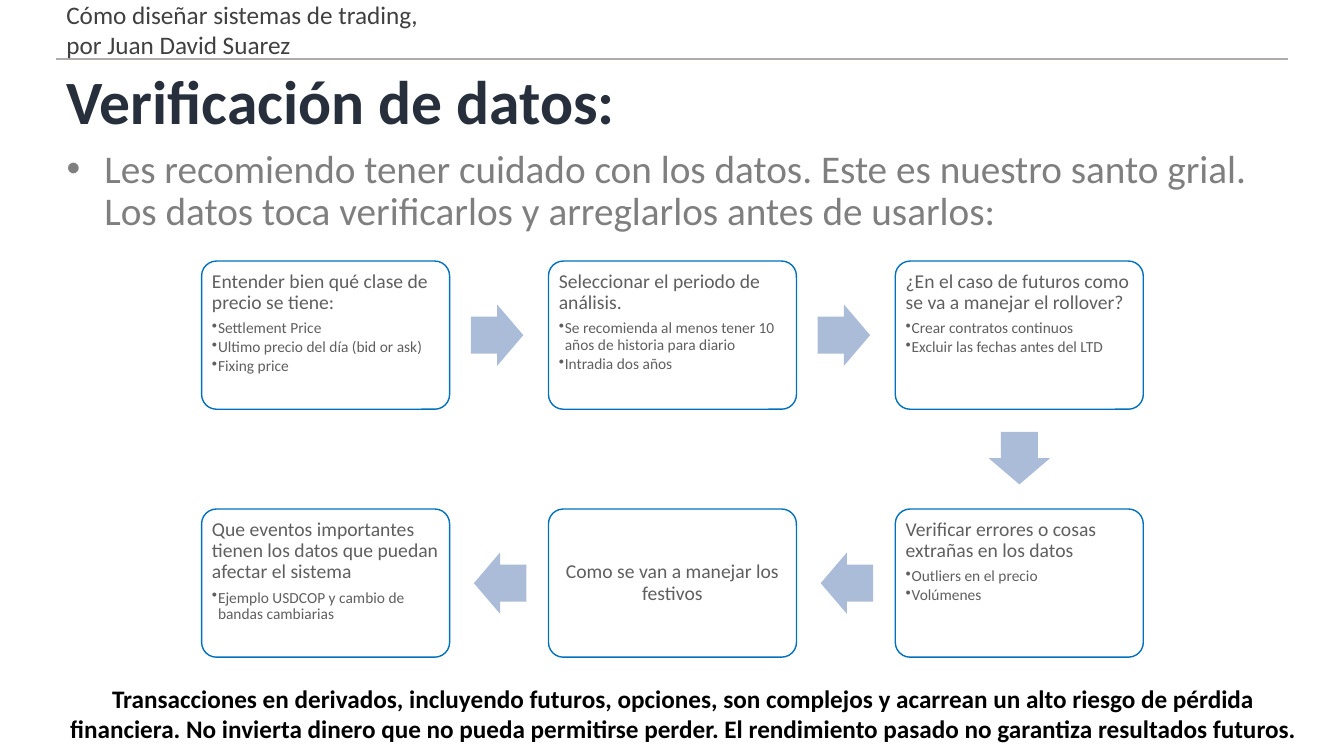
from lxml import etree
from pptx import Presentation
from pptx.dml.color import RGBColor
from pptx.enum.shapes import MSO_CONNECTOR as CONN, MSO_SHAPE as SHAPE
from pptx.enum.text import MSO_ANCHOR as ANCHOR, MSO_AUTO_SIZE as AUTO, PP_ALIGN as ALIGN
from pptx.oxml.ns import qn
from pptx.util import Inches, Pt

FONT = "Calibri"
BOX_W, BOX_H = 2.46, 1.47
COLS = [2 + 3.44 * i for i in range(3)]
ROWS = [2.59, 5.05]

# Column, row, heading and bullets, in reading order along the flow
STEPS = [
    (0, 0, "Entender bien qué clase de precio se tiene:",
     ["Settlement Price", "Ultimo precio del día (bid or ask)", "Fixing price"]),
    (1, 0, "Seleccionar el periodo de análisis.",
     ["Se recomienda al menos tener 10 años de historia para diario", "Intradia dos años"]),
    (2, 0, "¿En el caso de futuros como se va a manejar el rollover?",
     ["Crear contratos continuos", "Excluir las fechas antes del LTD"]),
    (2, 1, "Verificar errores o cosas extrañas en los datos",
     ["Outliers en el precio", "Volúmenes"]),
    (1, 1, "Como se van a manejar los festivos", []),
    (0, 1, "Que eventos importantes tienen los datos que puedan afectar el sistema",
     ["Ejemplo USDCOP y cambio de bandas cambiarias"]),
]


def rgb(value):
    return RGBColor.from_string(value)


def place(sp, left, top, width, height):
    sp.left, sp.top = Inches(left), Inches(top)
    sp.width, sp.height = Inches(width), Inches(height)


def set_bullet(p, char=None, indent=0):
    pPr = p._p.get_or_add_pPr()
    pPr.set("marL", str(Inches(indent)))
    pPr.set("indent", str(-Inches(indent)))
    bu = etree.SubElement(pPr, qn("a:buChar" if char else "a:buNone"))
    if char:
        bu.set("char", char)


def format_par(p, size, color, bold=False, align=ALIGN.LEFT, spacing=1.0, after=0):
    p.alignment = align
    p.line_spacing = spacing
    p.space_before, p.space_after = Pt(0), Pt(after)
    for r in p.runs:
        r.font.name, r.font.size, r.font.bold = FONT, Pt(size), bold
        r.font.color.rgb = rgb(color)


def fill_frame(sp, text, anchor, size, color, **style):
    tf = sp.text_frame
    tf.text = text
    tf.word_wrap, tf.auto_size, tf.vertical_anchor = True, AUTO.NONE, anchor
    format_par(tf.paragraphs[0], size, color, **style)


def add_text(s, area, text, size, color, **style):
    sp = s.shapes.add_textbox(*map(Inches, area))
    fill_frame(sp, text, ANCHOR.MIDDLE, size, color, **style)


def add_rule(s, left, right, y):
    line = s.shapes.add_connector(CONN.STRAIGHT, Inches(left), Inches(y), Inches(right), Inches(y))
    line.line.color.rgb = rgb("AFABAB")
    line.line.width = Pt(1.5)
    etree.SubElement(line._element.spPr, qn("a:effectLst"))


def add_step(s, col, row, heading, bullets):
    sp = s.shapes.add_shape(SHAPE.ROUNDED_RECTANGLE, Inches(COLS[col]), Inches(ROWS[row]),
                            Inches(BOX_W), Inches(BOX_H))
    sp.adjustments[0] = 0.1
    sp.shadow.inherit = False
    sp.fill.background()
    sp.line.color.rgb = rgb("0071BD")
    sp.line.width = Pt(1)
    # A step without bullets has its heading in the middle
    anchor, align = (ANCHOR.TOP, ALIGN.LEFT) if bullets else (ANCHOR.MIDDLE, ALIGN.CENTER)
    fill_frame(sp, heading, anchor, 14, "5F5F5F", align=align, spacing=0.9, after=4.9)
    tf = sp.text_frame
    tf.margin_left = tf.margin_right = tf.margin_top = tf.margin_bottom = Inches(0.06)
    for bullet in bullets:
        p = tf.add_paragraph()
        p.text = bullet
        p.level = 1
        set_bullet(p, "•", 0.06)
        format_par(p, 11, "5F5F5F", spacing=0.9, after=1.6)


def add_arrow(s, left, top, rotation=0):
    sp = s.shapes.add_shape(SHAPE.RIGHT_ARROW, Inches(left), Inches(top), Inches(0.52), Inches(0.61))
    sp.adjustments[0], sp.adjustments[1] = 0.6, 0.5
    sp.rotation = rotation
    sp.shadow.inherit = False
    sp.fill.solid()
    sp.fill.fore_color.rgb = rgb("ABBCD9")
    sp.line.fill.background()


def main():
    prs = Presentation()
    prs.slide_width, prs.slide_height = Inches(13.33), Inches(7.5)
    s = prs.slides.add_slide(prs.slide_layouts[1])

    # Header and risk notice
    add_rule(s, 0.56, 12.77, 0.59)
    add_text(s, (0.56, 0.12, 3.93, 0.34),
             "Cómo diseñar sistemas de trading, por Juan David Suarez", 18, "404040")
    add_text(s, (0.56, 6.76, 12.44, 0.63),
             "Transacciones en derivados, incluyendo futuros, opciones, son complejos y acarrean "
             "un alto riesgo de pérdida financiera. No invierta dinero que no pueda permitirse "
             "perder. El rendimiento pasado no garantiza resultados futuros.",
             18, "000000", bold=True, align=ALIGN.CENTER)

    # Title and introduction
    title, body = s.shapes.title, s.placeholders[1]
    place(title, 0.56, 0.64, 12.2, 0.79)
    fill_frame(title, "Verificación de datos:", ANCHOR.MIDDLE, 44, "262F3B", bold=True, spacing=0.9)
    place(body, 0.56, 1.43, 12.2, 5.22)
    set_bullet(body.text_frame.paragraphs[0])
    fill_frame(body, "Les recomiendo tener cuidado con los datos. Este es nuestro santo grial. "
               "Los datos toca verificarlos y arreglarlos antes de usarlos:",
               ANCHOR.TOP, 28, "7F7F7F", spacing=0.9)

    # Flow: right along the top, down, then back to the left
    for step in STEPS:
        add_step(s, *step)
    for left in COLS[:2]:
        add_arrow(s, left + 2.67, ROWS[0] + 0.43)
        add_arrow(s, left + 2.7, ROWS[1] + 0.43, 180)
    add_arrow(s, COLS[2] + 0.97, 4.24, 90)

    prs.save("out.pptx")


if __name__ == "__main__":
    main()
